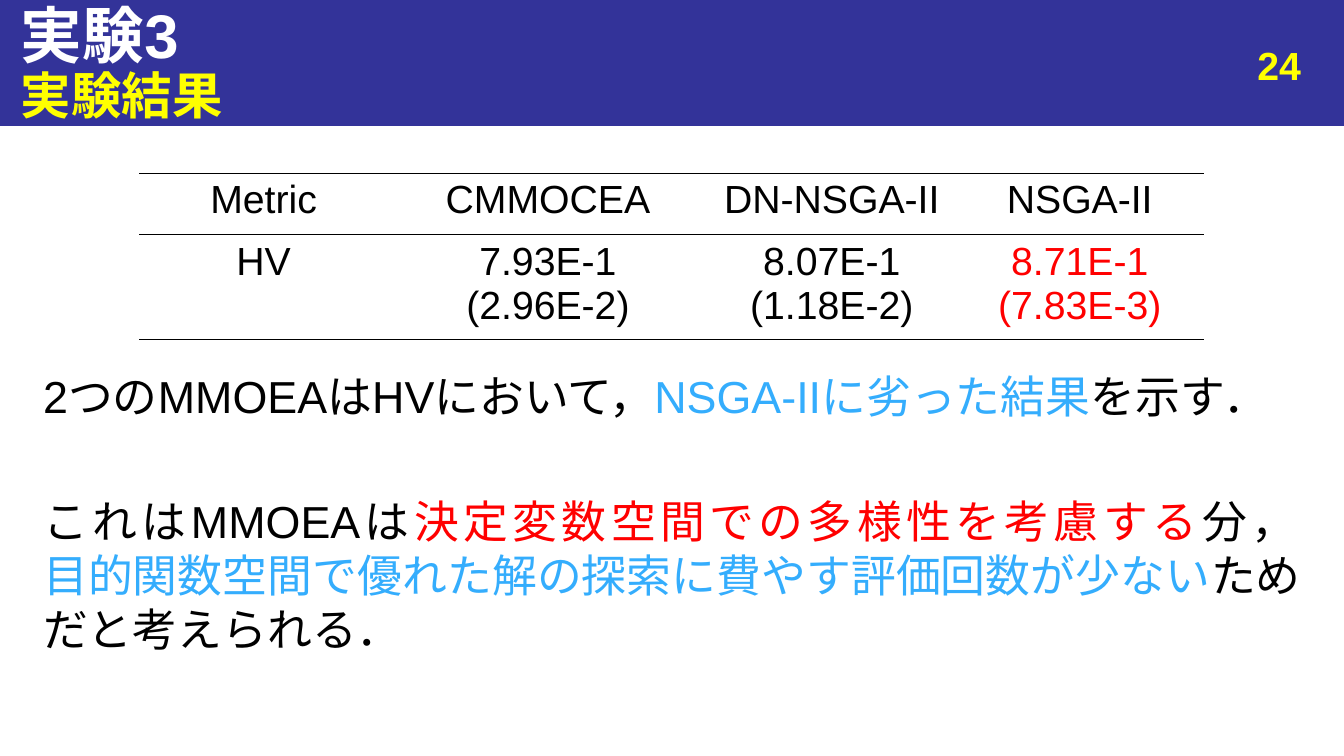
import pptx
import pptx.util
import pptx.dml.color
import pptx.enum.lang
import pptx.enum.shapes
import pptx.enum.text
import pptx.oxml
import pptx.oxml.ns

Inches = pptx.util.Inches
ALIGN = pptx.enum.text.PP_ALIGN
ANCHOR = pptx.enum.text.MSO_ANCHOR
COLORS = {"navy": "333399", "white": "FFFFFF", "yellow": "FFFF00",
          "black": "000000", "red": "FF0000", "blue": "34ADFD"}


def style(r, size, color, bold=False):
    r.font.name = "Arial"
    r.font.size = pptx.util.Pt(size)
    r.font.bold = bold
    r.font.color.rgb = pptx.dml.color.RGBColor.from_string(COLORS[color])
    r.font.language_id = pptx.enum.lang.MSO_LANGUAGE_ID.JAPANESE


def add_text(s, box, anchor=ANCHOR.TOP):
    tf = s.shapes.add_textbox(*[Inches(v) for v in box]).text_frame
    tf.word_wrap = True
    tf.vertical_anchor = anchor
    return tf


prs = pptx.Presentation()
prs.slide_width, prs.slide_height = Inches(13.33), Inches(7.5)
s = prs.slides.add_slide(prs.slide_layouts[6])

# Header band
band = s.shapes.add_shape(pptx.enum.shapes.MSO_SHAPE.RECTANGLE,
                          0, 0, prs.slide_width, Inches(1.25))
band.shadow.inherit = False
navy = pptx.dml.color.RGBColor.from_string(COLORS["navy"])
band.fill.solid()
band.fill.fore_color.rgb = navy
band.line.color.rgb = navy
band.line.width = pptx.util.Pt(0.75)

# Title, subtitle and page number
for text, box, size, color, align, anchor in [
    ("実験3", (0.11, 0, 13.22, 0.67), 44, "white", ALIGN.LEFT, ANCHOR.MIDDLE),
    ("実験結果", (0.11, 0.62, 13.22, 0.63), 36, "yellow", ALIGN.LEFT, ANCHOR.MIDDLE),
    ("24", (9.89, 0.36, 3.11, 0.52), 28, "yellow", ALIGN.RIGHT, ANCHOR.TOP),
]:
    p = add_text(s, box, anchor).paragraphs[0]
    p.text = text
    p.alignment = align
    style(p.runs[0], size, color, bold=True)

# Results table, ruled above and below each row
rows = [["Metric", "CMMOCEA", "DN-NSGA-II", "NSGA-II"],
        ["HV", "7.93E-1\n(2.96E-2)", "8.07E-1\n(1.18E-2)", "8.71E-1\n(7.83E-3)"]]
tbl = s.shapes.add_table(2, 4, Inches(1.38), Inches(1.72),
                         Inches(10.56), Inches(1.63)).table
tbl.first_row = tbl.horz_banding = False
for col, width in zip(tbl.columns, [2.47, 3.17, 2.46, 2.46]):
    col.width = Inches(width)
for row, height in zip(tbl.rows, [0.61, 1.02]):
    row.height = Inches(height)

ns = pptx.oxml.ns.nsdecls("a")
rule = f'<a:solidFill><a:srgbClr val="{COLORS["black"]}"/></a:solidFill>'
borders = [("lnL", "<a:noFill/>"), ("lnR", "<a:noFill/>"), ("lnT", rule), ("lnB", rule)]
for i, row in enumerate(rows):
    for j, text in enumerate(row):
        cell = tbl.cell(i, j)
        cell.fill.background()
        tcPr = cell._tc.get_or_add_tcPr()
        for k, (tag, fill) in enumerate(borders):
            tcPr.insert(k, pptx.oxml.parse_xml(f'<a:{tag} {ns} w="12700">{fill}</a:{tag}>'))
        p = cell.text_frame.paragraphs[0]
        p.text = text
        p.alignment = ALIGN.CENTER
        for r in p.runs:
            style(r, 28, "red" if (i, j) == (1, 3) else "black")

# Discussion: each paragraph is a list of lines, each line a list of runs
discussion = [
    [[("2つのMMOEAはHVにおいて，", "black"), ("NSGA-IIに劣った結果", "blue"),
      ("を示す．", "black")]],
    [[("これはMMOEAは", "black"), ("決定変数空間での多様性を考慮する", "red"),
      ("分，", "black")],
     [("目的関数空間で優れた解の探索に費やす評価回数が少ない", "blue"),
      ("ためだと考えられる．", "black")]],
]
tf = add_text(s, (0.33, 3.61, 12.67, 3.56))
for i, lines in enumerate(discussion):
    p = tf.add_paragraph() if i else tf.paragraphs[0]
    p.alignment = ALIGN.JUSTIFY
    p.space_before = pptx.util.Pt(51 if i else 0)
    for j, line in enumerate(lines):
        if j:
            p.add_line_break()
        for text, color in line:
            r = p.add_run()
            r.text = text
            style(r, 32, color)

prs.save("out.pptx")
